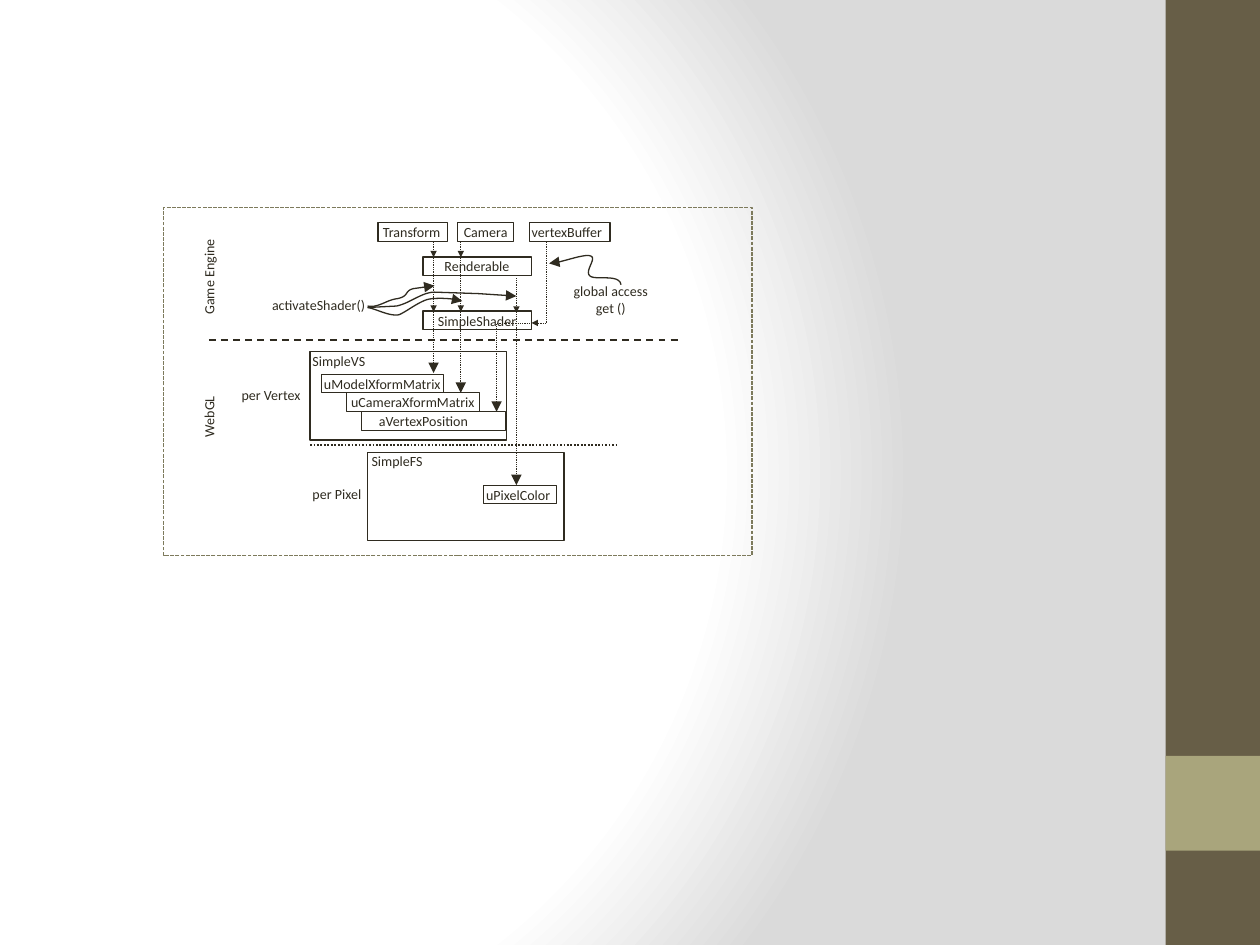
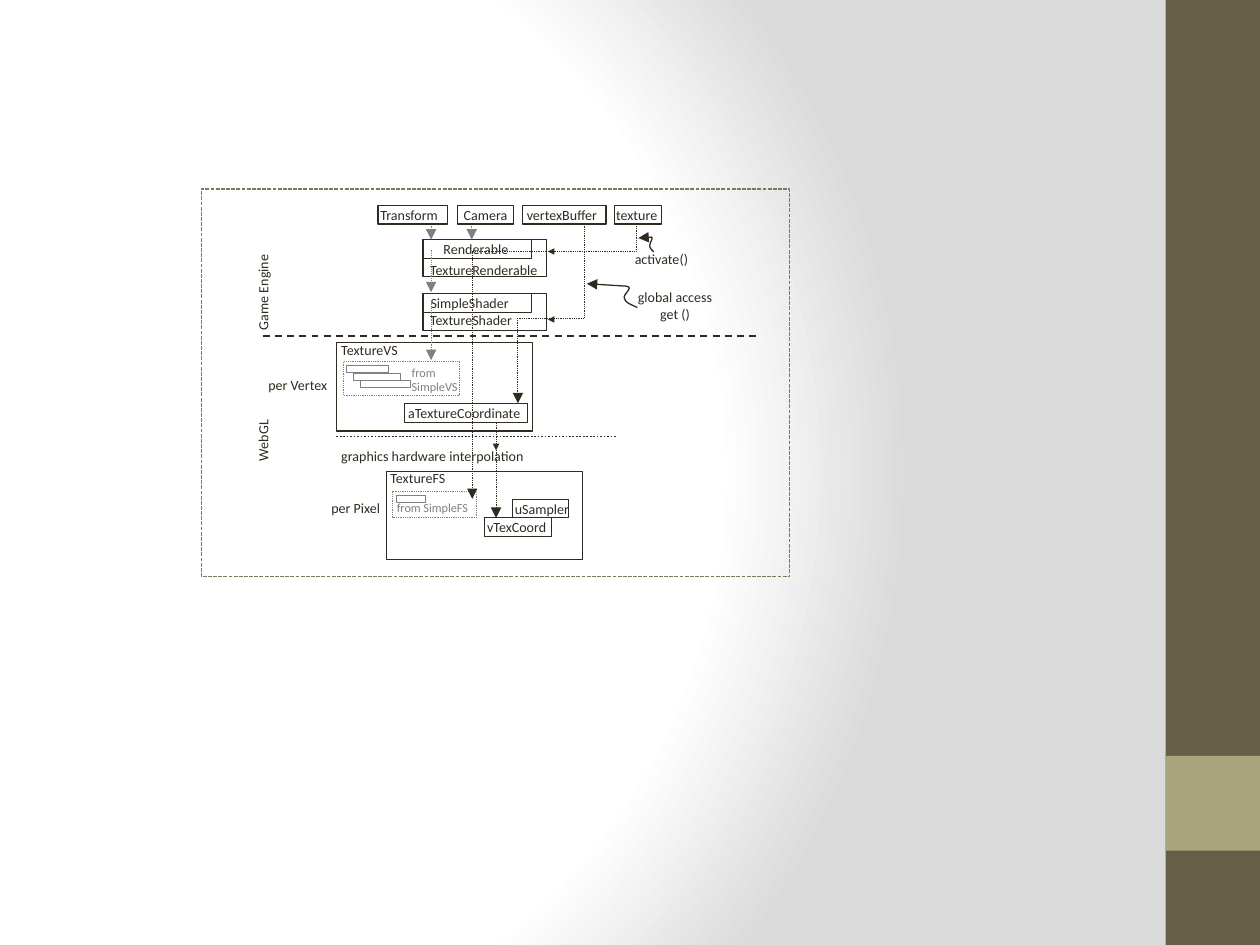
from lxml import etree
from pptx import Presentation
from pptx.dml.color import RGBColor
from pptx.enum.dml import MSO_LINE
from pptx.enum.shapes import MSO_CONNECTOR, MSO_SHAPE
from pptx.enum.text import MSO_ANCHOR, PP_ALIGN
from pptx.oxml import parse_xml
from pptx.oxml.ns import nsdecls, qn
from pptx.util import Cm, Pt

INK = RGBColor(0x2F, 0x2B, 0x20)
GRAY = RGBColor(0x80, 0x80, 0x80)
OLIVE = RGBColor(0x7D, 0x7A, 0x5C)
BAND = RGBColor(0x67, 0x5E, 0x47)
BAND_ACCENT = RGBColor(0xA9, 0xA5, 0x7C)
GLOW = RGBColor(0xFF, 0xFF, 0xFF)
SHADE = RGBColor(0xDA, 0xDA, 0xDA)

FONT = "Calibri"
NODE_H = 0.38
LINE_H = 0.33
STAGE_W, STAGE_H = 3.96, 1.78
MARK = 0.13
DOWN, LEFT = 180, 270
CURVE_STEPS = 12


def bezier(start, numbers):
    points = [start, *zip(numbers[::2], numbers[1::2])]
    for step in range(1, CURVE_STEPS + 1):
        t = step / CURVE_STEPS
        weights = ((1 - t) ** 3, 3 * t * (1 - t) ** 2, 3 * t * t * (1 - t), t ** 3)
        yield tuple(sum(w * p[axis] for w, p in zip(weights, points)) for axis in (0, 1))


def style_line(line, color, width, dash=None):
    line.color.rgb = color
    line.width = Pt(width)
    if dash is not None:
        line.dash_style = dash


def add_arrowhead(shape, end):
    outline = shape.element.spPr.find(qn("a:ln"))
    etree.SubElement(outline, qn(f"a:{end}End"), type="triangle")


class Diagram:
    def __init__(self, slide, left, top, width, height):
        self.shapes = slide.shapes
        self.left, self.top = left, top
        self.rect(0, 0, width, height, OLIVE, 0.75, MSO_LINE.SQUARE_DOT)

    def place(self, x, y):
        return Cm(self.left + x), Cm(self.top + y)

    def rect(self, x, y, width, height, color=INK, weight=0.75, dash=None):
        outline = self.shapes.add_shape(
            MSO_SHAPE.RECTANGLE, *self.place(x, y), Cm(width), Cm(height))
        outline.shadow.inherit = False
        outline.fill.background()
        style_line(outline.line, color, weight, dash)

    def label(self, text, x, middle, width, align=PP_ALIGN.LEFT,
              size=8, color=INK, rotation=0):
        height = 0.61 + LINE_H * text.count("\n")
        box = self.shapes.add_textbox(
            *self.place(x, middle - height / 2), Cm(width), Cm(height))
        box.rotation = rotation
        frame = box.text_frame
        frame.word_wrap = True
        frame.vertical_anchor = MSO_ANCHOR.MIDDLE
        frame.margin_left = frame.margin_right = 0
        frame.text = text
        for paragraph in frame.paragraphs:
            paragraph.alignment = align
            for run in paragraph.runs:
                run.font.name = FONT
                run.font.size = Pt(size)
                run.font.color.rgb = color

    def side_label(self, text, x, middle, length):
        self.label(text, x - length / 2, middle, length, rotation=270)

    def node(self, text, x, y, width, indent=None, weight=0.75):
        middle = y + NODE_H / 2
        if indent is None:
            self.label(text, x, middle, width, PP_ALIGN.CENTER)
        else:
            self.label(text, x + indent, middle, width - indent + 0.3)
        self.rect(x, y, width, NODE_H, weight=weight)

    def stage(self, text, x, y, indent, drop):
        self.rect(x, y, STAGE_W, STAGE_H)
        self.label(text, x + indent, y + drop, 2)

    def line(self, x1, y1, x2, y2, color=INK, weight=1,
             dash=MSO_LINE.ROUND_DOT, kind=MSO_CONNECTOR.STRAIGHT):
        link = self.shapes.add_connector(kind, *self.place(x1, y1), *self.place(x2, y2))
        style_line(link.line, color, weight, dash)
        etree.SubElement(link.element.spPr, qn("a:effectLst"))
        return link

    def drop_arrow(self, x, y1, y2, color=INK):
        add_arrowhead(self.line(x, y1, x, y2, color, 0.5), "tail")

    def elbow_arrow(self, x1, y1, x2, y2, bend):
        across, along = (x1 - x2) / 2, (y2 - y1) / 2
        mid_x, mid_y = (x1 + x2) / 2, (y1 + y2) / 2
        link = self.line(mid_x - along, mid_y - across, mid_x + along, mid_y + across,
                         weight=0.5, kind=MSO_CONNECTOR.ELBOW)
        properties = link.element.spPr
        properties.find(qn("a:xfrm")).set("rot", "5400000")
        guides = properties.find(qn("a:prstGeom")).find(qn("a:avLst"))
        etree.SubElement(guides, qn("a:gd"), name="adj1", fmla=f"val {round(bend * 100000)}")
        add_arrowhead(link, "tail")

    def mark(self, x, y, rotation=DOWN):
        tip = self.shapes.add_shape(
            MSO_SHAPE.ISOSCELES_TRIANGLE, *self.place(x - MARK / 2, y - MARK / 2),
            Cm(MARK), Cm(MARK))
        tip.rotation = rotation
        tip.shadow.inherit = False
        tip.fill.solid()
        tip.fill.fore_color.rgb = INK
        tip.line.fill.background()

    def curve_arrow(self, start, *segments):
        points = [start]
        for segment in segments:
            points += [segment] if len(segment) == 2 else bezier(points[-1], segment)
        emu = [self.place(*point) for point in points]
        builder = self.shapes.build_freeform(*emu[0])
        builder.add_line_segments(emu[1:], close=False)
        curve = builder.convert_to_shape()
        curve.shadow.inherit = False
        curve.fill.background()
        style_line(curve.line, INK, 0.75)
        add_arrowhead(curve, "head")


def add_backdrop(slide):
    stops = "".join(
        f'<a:gs pos="{position}"><a:srgbClr val="{color}"/></a:gs>'
        for position, color in ((0, GLOW), (75000, GLOW), (100000, SHADE)))
    slide.element.cSld.insert(0, parse_xml(
        f'<p:bg {nsdecls("p", "a")}><p:bgPr><a:gradFill><a:gsLst>{stops}</a:gsLst>'
        '<a:path path="circle"><a:fillToRect l="20000" t="50000" r="100000" b="50000"/>'
        '</a:path></a:gradFill><a:effectLst/></p:bgPr></p:bg>'))
    for top, height, color in ((0, 19.05, BAND), (15.24, 1.91, BAND_ACCENT)):
        band = slide.shapes.add_shape(
            MSO_SHAPE.RECTANGLE, Cm(23.5), Cm(top), Cm(1.9), Cm(height))
        band.shadow.inherit = False
        band.fill.solid()
        band.fill.fore_color.rgb = color
        band.line.fill.background()


def draw_layers(diagram, x, right, divider, engine, webgl):
    diagram.line(x, divider, right, divider, dash=MSO_LINE.DASH)
    diagram.side_label("Game Engine", x, engine, 1.57)
    diagram.side_label("WebGL", x, webgl, 0.97)


def draw_simple_engine(diagram):
    diagram.node("Transform", 4.32, 0.3, 1.4, 0.1)
    diagram.node("Camera", 5.92, 0.3, 1.14, 0.13)
    diagram.node("vertexBuffer", 7.37, 0.3, 1.63, 0.05)
    diagram.node("Renderable", 5.23, 0.99, 2.18, 0.43)
    diagram.node("SimpleShader", 5.23, 2.08, 2.18)
    diagram.label("global access\nget ()", 7.95, 1.84, 2.13, PP_ALIGN.CENTER)
    diagram.label("activateShader()", 2.16, 1.96, 1.93, PP_ALIGN.CENTER)
    diagram.curve_arrow((7.77, 1.12), (7.92, 1.14, 8.48, 0.91, 8.61, 0.97),
                        (8.74, 1.02, 8.48, 1.27, 8.59, 1.37),
                        (8.69, 1.47, 9.19, 1.32, 9.22, 1.55))
    diagram.curve_arrow((5.46, 1.57), (5.03, 1.63), (4.85, 1.68, 4.95, 1.78, 4.72, 1.83),
                        (4.5, 1.85, 4.32, 2.03, 4.11, 1.98))
    diagram.curve_arrow((6.02, 1.88), (5.89, 1.83, 5.49, 1.8, 5.31, 1.85),
                        (5.11, 1.91, 4.8, 2.16, 4.72, 2.16),
                        (4.52, 2.18, 4.27, 2.03, 4.11, 2.01))
    diagram.curve_arrow((7.11, 1.78), (6.35, 1.73), (5.46, 1.7),
                        (5.21, 1.7, 4.95, 1.93, 4.7, 1.98), (4.11, 2.01))


def draw_simple_shaders(diagram):
    diagram.stage("SimpleVS", 2.95, 2.9, 0.05, 0.18)
    attributes = (("uModelXformMatrix", 3.18, 2.46, None),
                  ("uCameraXformMatrix", 3.68, 2.69, None),
                  ("aVertexPosition", 3.99, 2.9, 0.35))
    for row, (name, x, width, indent) in enumerate(attributes):
        diagram.node(name, x, 3.35 + row * NODE_H, width, indent, 0.5)
    diagram.label("per Vertex", 1.57, 3.78, 1.35)
    diagram.line(2.95, 4.78, 9.14, 4.78)
    diagram.stage("SimpleFS", 4.11, 4.93, 0.08, 0.18)
    diagram.node("uPixelColor", 6.45, 5.59, 1.47, 0.05, 0.5)
    diagram.label("per Pixel", 3, 5.77, 1.1)


def draw_simple_flow(diagram):
    for x, end in ((5.44, 3.33), (5.99, 3.73)):
        diagram.drop_arrow(x, 0.69, end)
        for y in (0.93, 2.03):
            diagram.mark(x, y)
    diagram.drop_arrow(7.11, 1.42, 5.59)
    diagram.mark(7.11, 2.05)
    diagram.elbow_arrow(7.72, 0.69, 6.71, 4.11, 0.48)
    diagram.mark(7.48, 2.32, LEFT)


def draw_texture_engine(diagram):
    diagram.node("Transform", 3.56, 0.33, 1.4, 0.05)
    diagram.node("Camera", 5.16, 0.33, 1.14)
    diagram.node("vertexBuffer", 6.48, 0.33, 1.68, 0.08)
    diagram.node("texture", 8.33, 0.33, 0.94, 0.03)
    diagram.node("Renderable", 4.47, 1.02, 2.18, 0.41)
    diagram.node("SimpleShader", 4.47, 2.11, 2.18, 0.15)
    for name, y, middle in (("TextureRenderable", 1.02, 1.63), ("TextureShader", 2.11, 2.64)):
        diagram.rect(4.47, y, 2.49, 0.75)
        diagram.label(name, 4.61, middle, 2.4)
    diagram.label("global access\nget ()", 8.33, 2.35, 2.44, PP_ALIGN.CENTER)
    diagram.label("activate()", 8.31, 1.42, 1.93, PP_ALIGN.CENTER)
    diagram.curve_arrow((7.77, 1.91), (8.56, 1.96), (8.74, 1.98, 8.48, 2.13, 8.53, 2.21),
                        (8.56, 2.29, 8.61, 2.31, 8.79, 2.39))
    diagram.curve_arrow((8.81, 0.99), (9.07, 0.97), (9.12, 0.97, 9.04, 1.09, 9.04, 1.14),
                        (9.04, 1.19, 9.07, 1.22, 9.12, 1.27))


def draw_inherited(diagram, text, box, text_x, middle, slots):
    diagram.rect(*box, GRAY, 0.5, MSO_LINE.ROUND_DOT)
    for row, (x, width) in enumerate(slots):
        diagram.rect(x, box[1] + 0.08 + row * 0.15, width, 0.15, GRAY, 0.5)
    diagram.label(text, text_x, middle, 1.8, size=7, color=GRAY)


def draw_texture_shaders(diagram):
    diagram.stage("TextureVS", 2.72, 3.1, 0.1, 0.15)
    draw_inherited(diagram, "from\nSimpleVS", (2.87, 3.48, 2.34, 0.69), 4.24, 3.84,
                   ((2.92, 0.86), (3.07, 0.94), (3.2, 1.02)))
    diagram.node("aTextureCoordinate", 4.09, 4.32, 2.49, 0.08, 0.5)
    diagram.label("per Vertex", 1.35, 3.94, 1.35)
    diagram.line(2.72, 4.99, 8.38, 4.99)
    diagram.label("graphics hardware interpolation", 2.82, 5.38, 4)
    diagram.stage("TextureFS", 3.73, 5.69, 0.08, 0.13)
    draw_inherited(diagram, "from SimpleFS", (3.86, 6.1, 1.68, 0.53), 3.94, 6.43,
                   ((3.94, 0.58),))
    diagram.node("uSampler", 6.27, 6.25, 1.14, 0.05, 0.5)
    diagram.node("vTexCoord", 5.71, 6.63, 1.35, 0.05, 0.5)
    diagram.label("per Pixel", 2.62, 6.43, 1.1)


def draw_texture_flow(diagram):
    diagram.drop_arrow(5.94, 4.72, 6.63)
    diagram.mark(5.94, 5.2)
    diagram.elbow_arrow(7.72, 0.74, 6.38, 4.32, 0.52)
    diagram.mark(7.05, 2.63, LEFT)
    diagram.elbow_arrow(8.76, 0.71, 5.46, 6.25, 0.1)
    diagram.mark(7.05, 1.26, LEFT)
    for x, start, end in ((4.63, 0.74, 1.02), (4.63, 1.22, 2.08),
                          (4.63, 2.29, 3.45), (5.45, 0.74, 1.02)):
        diagram.drop_arrow(x, start, end, GRAY)


def main():
    deck = Presentation()
    deck.slide_width, deck.slide_height = Cm(25.4), Cm(19.05)
    pages = (
        ((3.3, 4.19, 11.86, 7.01), (0.91, 10.46, 2.67, 1.37, 4.14),
         (draw_simple_engine, draw_simple_shaders, draw_simple_flow)),
        ((4.06, 3.81, 11.86, 7.82), (1.24, 11.23, 2.97, 2.06, 5),
         (draw_texture_engine, draw_texture_shaders, draw_texture_flow)),
    )
    for frame, layers, regions in pages:
        slide = deck.slides.add_slide(deck.slide_layouts[6])
        add_backdrop(slide)
        diagram = Diagram(slide, *frame)
        draw_layers(diagram, *layers)
        for draw_region in regions:
            draw_region(diagram)
    deck.save("out.pptx")


if __name__ == "__main__":
    main()
